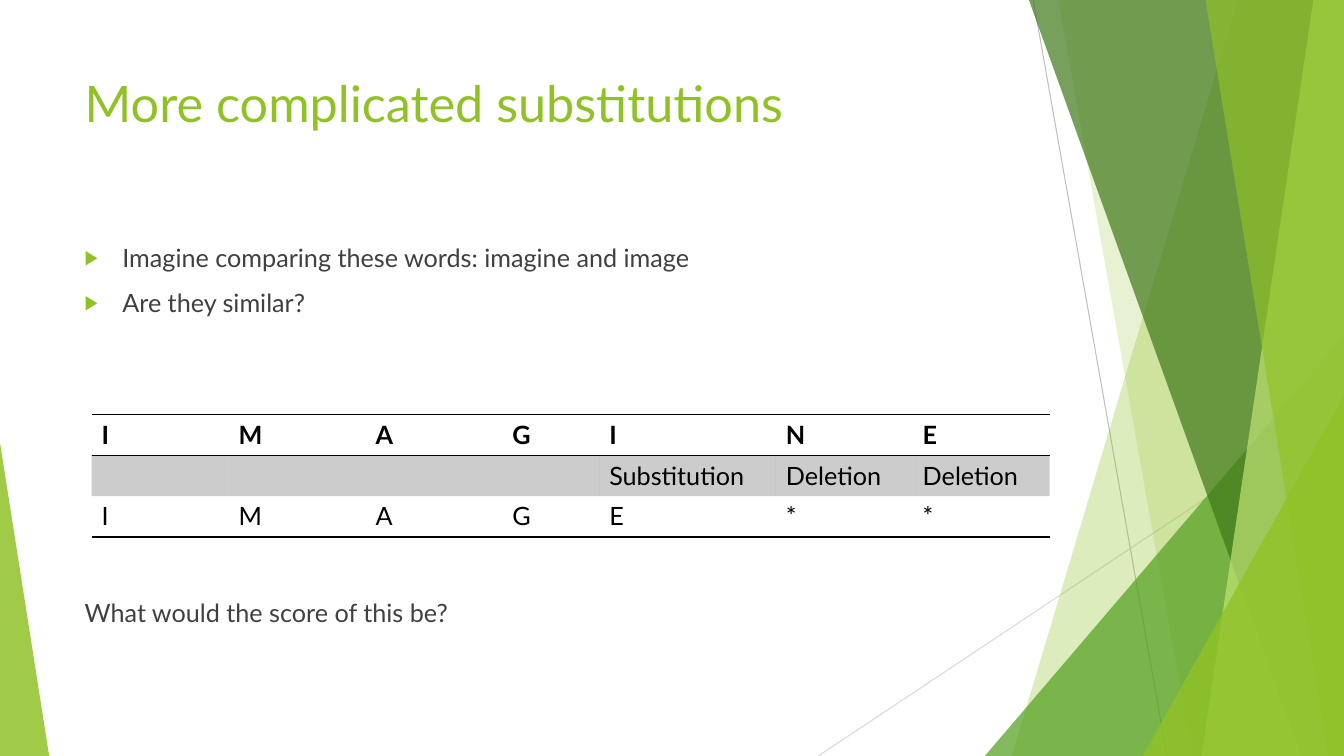
"""Build the slide on more complicated substitutions."""
import pptx
import pptx.dml.color
import pptx.enum.shapes
import pptx.enum.text
import pptx.oxml
import pptx.oxml.ns
import pptx.util
import lxml.etree

Cm, Pt = pptx.util.Cm, pptx.util.Pt
qn = pptx.oxml.ns.qn
FONT = "Lato"
WIDE, HIGH = 33.87, 19.05
HUE = {"lime": "90C226", "green": "54A021", "dark": "3F7819", "pale": "C0E474",
       "text": "404040", "black": "000000", "gray": "BFBFBF", "light": "D9D9D9"}

TITLE = "More complicated substitutions"
BODY = [("Imagine comparing these words: imagine and image", 10, True),
        ("Are they similar?", 10, True),
        ("What would the score of this be?", 200, False)]
ROWS = [["I", "M", "A", "G", "I", "N", "E"],
        ["", "", "", "", "Substitution", "Deletion", "Deletion"],
        ["I", "M", "A", "G", "E", "*", "*"]]
COLS = [3.45, 3.45, 3.45, 2.44, 4.45, 3.45, 3.45]
ROW = 1.03
EDGES = {0: ["lnT", "lnB"], 2: ["lnB"]}

LINES = [(26.04, 0, 29.41, HIGH, "gray"), (WIDE, 10.24, 20.62, HIGH, "light")]
DECOR = [("band", 31.19, 25.5, "lime", 30),
         ("band", 26.67, 30.05, "lime", 20),
         ("wedge", 24.82, 8.46, "green", 72),
         ("band", 25.93, 32.79, "dark", 70),
         ("band", 33.1, 30.28, "pale", 70),
         ("band", 30.38, 33.48, "lime", 65),
         ("wedge", 28.8, 9.98, "lime", 80)]


def rgb(name):
    return pptx.dml.color.RGBColor.from_string(HUE[name])


def add(node, tag, **attrs):
    return lxml.etree.SubElement(node, qn(tag), attrs)


def tint(fill, root, name, part):
    fill.solid()
    fill.fore_color.rgb = rgb(name)
    color = next(root.iter(qn("a:solidFill")))[0]
    add(color, "a:alpha", val=str(part * 1000))


def style(para, size, name, bold=False):
    for run in para.runs:
        run.font.name, run.font.size = FONT, Pt(size)
        run.font.bold, run.font.color.rgb = bold, rgb(name)


def place(shape, left, top, width, height):
    shape.left, shape.top = Cm(left), Cm(top)
    shape.width, shape.height = Cm(width), Cm(height)
    frame = shape.text_frame
    frame.word_wrap = True
    frame.auto_size = pptx.enum.text.MSO_AUTO_SIZE.NONE
    frame.vertical_anchor = pptx.enum.text.MSO_ANCHOR.TOP
    return frame


def paint(shape, name, part):
    shape.shadow.inherit = False
    shape.line.fill.background()
    tint(shape.fill, shape._element.spPr, name, part)


def band(top, base, name, part):
    pen = shapes.build_freeform(Cm(top), 0)
    pen.add_line_segments([(Cm(WIDE), 0), (Cm(WIDE), Cm(HIGH)), (Cm(base), Cm(HIGH))])
    paint(pen.convert_to_shape(), name, part)


def wedge(left, top, name, part, right=WIDE, tip=1):
    kind = pptx.enum.shapes.MSO_SHAPE.ISOSCELES_TRIANGLE
    shape = shapes.add_shape(kind, Cm(left), Cm(top), Cm(right - left), Cm(HIGH - top))
    shape.adjustments[0] = tip
    paint(shape, name, part)


def edge(cell, sides):
    props = cell._tc.get_or_add_tcPr()
    for side in sides:
        line = add(props, "a:" + side, w=str(Pt(1)))
        add(add(line, "a:solidFill"), "a:srgbClr", val=HUE["black"])


deck = pptx.Presentation()
deck.slide_width, deck.slide_height = Cm(WIDE), Cm(HIGH)
slide = deck.slides.add_slide(deck.slide_layouts[1])
shapes = slide.shapes

for x1, y1, x2, y2, name in LINES:
    kind = pptx.enum.shapes.MSO_CONNECTOR.STRAIGHT
    line = shapes.add_connector(kind, Cm(x1), Cm(y1), Cm(x2), Cm(y2))
    line.line.color.rgb, line.line.width = rgb(name), Pt(0.75)
    add(line._element.spPr, "a:effectLst")

for kind, *spec in DECOR:
    (band if kind == "band" else wedge)(*spec)
wedge(0, 11.15, "lime", 85, 1.24, 0)

frame = place(shapes.title, 1.88, 1.7, 23.88, 3.66)
frame.text = TITLE
frame.paragraphs[0].alignment = pptx.enum.text.PP_ALIGN.LEFT
style(frame.paragraphs[0], 36, "lime")

frame = place(slide.placeholders[1], 1.88, 5.99, 23.88, 10.77)
frame.text = "\n".join(text for text, gap, mark in BODY)
for para, (text, gap, mark) in zip(frame.paragraphs, BODY):
    para.space_before = Pt(gap)
    style(para, 18, "text")
    props = para._p.get_or_add_pPr()
    dent = Cm(0.95) if mark else 0
    props.set("marL", str(dent))
    props.set("indent", str(-dent))
    if mark:
        add(add(props, "a:buClr"), "a:srgbClr", val=HUE["lime"])
        add(props, "a:buSzPct", val="80000")
        add(props, "a:buChar", char="▶")
    else:
        add(props, "a:buNone")

table = shapes.add_table(len(ROWS), len(COLS), Cm(2.31), Cm(10.44),
                         Cm(sum(COLS)), Cm(ROW * len(ROWS))).table
table.first_row = table.horz_banding = False
plain = "{2D5ABB26-0587-4C30-8999-92F81FD0307C}"
table._tbl.tblPr.find(qn("a:tableStyleId")).text = plain
for col, width in zip(table.columns, COLS):
    col.width = Cm(width)
for r, texts in enumerate(ROWS):
    table.rows[r].height = Cm(ROW)
    for c, text in enumerate(texts):
        cell = table.cell(r, c)
        cell.text = text
        style(cell.text_frame.paragraphs[0], 18, "black", r == 0)
        edge(cell, EDGES.get(r, []))
        if r == 1:
            tint(cell.fill, cell._tc.tcPr, "black", 20)
        else:
            cell.fill.background()

deck.save("out.pptx")
